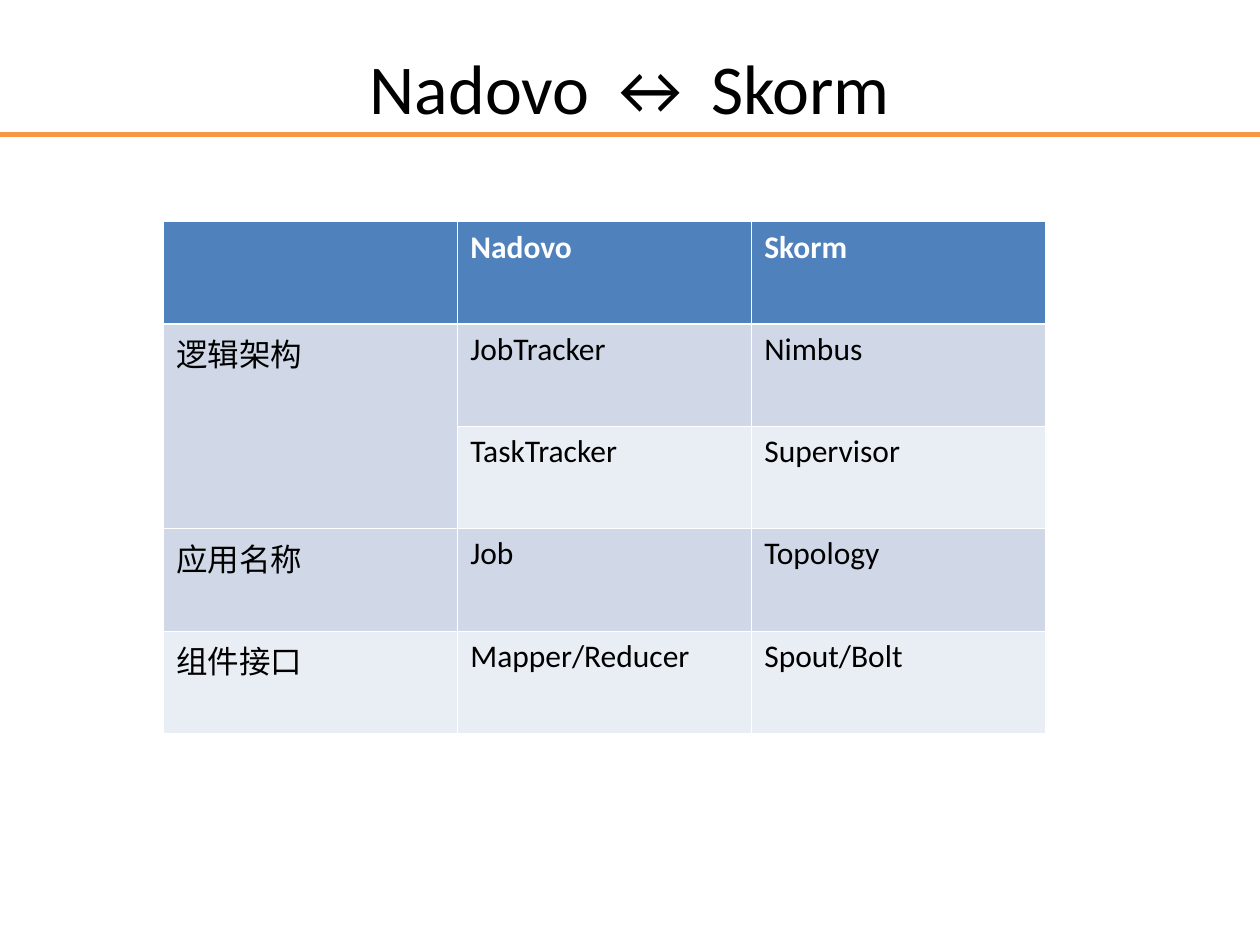
from dataclasses import dataclass

import pptx
import pptx.dml.color
import pptx.enum.shapes
import pptx.enum.text
import pptx.oxml
import pptx.oxml.ns
import pptx.util
from pptx.util import Inches


@dataclass(frozen=True)
class Theme:
    font: str = "Calibri"
    title_size: float = 40
    cell_size: float = 18
    text: str = "000000"
    white: str = "FFFFFF"
    rule: str = "F79646"
    header: str = "4F81BD"
    bands: tuple = ("D0D8E8", "E9EDF4")
    rule_width: float = 3
    grid_width: float = 0.45
    header_edge: float = 1.47


THEME = Theme()

COMPARISON = [
    ["", "Nadovo", "Skorm"],
    ["逻辑架构", "JobTracker", "Nimbus"],
    ["", "TaskTracker", "Supervisor"],
    ["应用名称", "Job", "Topology"],
    ["组件接口", "Mapper/Reducer", "Spout/Bolt"],
]


def rgb(color):
    return pptx.dml.color.RGBColor.from_string(color)


def style_text(paragraph, size, color, bold=False):
    for run in paragraph.runs:
        run.font.name = THEME.font
        run.font.size = pptx.util.Pt(size)
        run.font.bold = bold
        run.font.color.rgb = rgb(color)


def add_title(slide, wording):
    title = slide.shapes.title
    title.left, title.top = Inches(0.5), Inches(0.3)
    title.width, title.height = Inches(9), Inches(0.77)
    frame = title.text_frame
    frame.text = wording
    frame.auto_size = pptx.enum.text.MSO_AUTO_SIZE.NONE
    frame.vertical_anchor = pptx.enum.text.MSO_ANCHOR.MIDDLE
    frame.paragraphs[0].alignment = pptx.enum.text.PP_ALIGN.CENTER
    style_text(frame.paragraphs[0], THEME.title_size, THEME.text)


def add_rule(slide):
    rule = slide.shapes.add_connector(
        pptx.enum.shapes.MSO_CONNECTOR.STRAIGHT,
        Inches(0), Inches(1.07), Inches(10), Inches(1.07))
    rule.line.color.rgb = rgb(THEME.rule)
    rule.line.width = pptx.util.Pt(THEME.rule_width)
    rule._element.spPr.append(pptx.oxml.parse_xml(
        f'<a:effectLst {pptx.oxml.ns.nsdecls("a")}/>'))


def set_borders(cell, row):
    widths = dict.fromkeys(("lnL", "lnR", "lnT", "lnB"), THEME.grid_width)
    if row == 0:
        widths["lnB"] = THEME.header_edge
    elif row == 1:
        widths["lnT"] = THEME.header_edge
    properties = cell._tc.get_or_add_tcPr()
    for side, width in widths.items():
        properties.append(pptx.oxml.parse_xml(
            f'<a:{side} {pptx.oxml.ns.nsdecls("a")} w="{pptx.util.Pt(width)}">'
            f'<a:solidFill><a:srgbClr val="{THEME.white}"/></a:solidFill>'
            f'</a:{side}>'))


def fill_cell(cell, row, wording):
    is_header = row == 0
    set_borders(cell, row)
    cell.fill.solid()
    cell.fill.fore_color.rgb = rgb(
        THEME.header if is_header else THEME.bands[(row - 1) % 2])
    if wording:
        cell.text_frame.text = wording
        paragraph = cell.text_frame.paragraphs[0]
        paragraph.space_before = pptx.util.Pt(4.5)
        style_text(paragraph, THEME.cell_size,
                   THEME.white if is_header else THEME.text, is_header)


def add_comparison(slide, rows):
    table = slide.shapes.add_table(
        len(rows), len(rows[0]),
        Inches(1.3), Inches(1.76), Inches(7), Inches(4.06)).table
    for r, wordings in enumerate(rows):
        for c, wording in enumerate(wordings):
            fill_cell(table.cell(r, c), r, wording)
    table.cell(1, 0).merge(table.cell(2, 0))


def main():
    deck = pptx.Presentation()
    deck.slide_width, deck.slide_height = Inches(10), Inches(7.5)
    slide = deck.slides.add_slide(deck.slide_layouts.get_by_name("Title Only"))
    add_rule(slide)
    add_title(slide, "Nadovo ↔ Skorm")
    add_comparison(slide, COMPARISON)
    deck.save("out.pptx")


if __name__ == "__main__":
    main()
